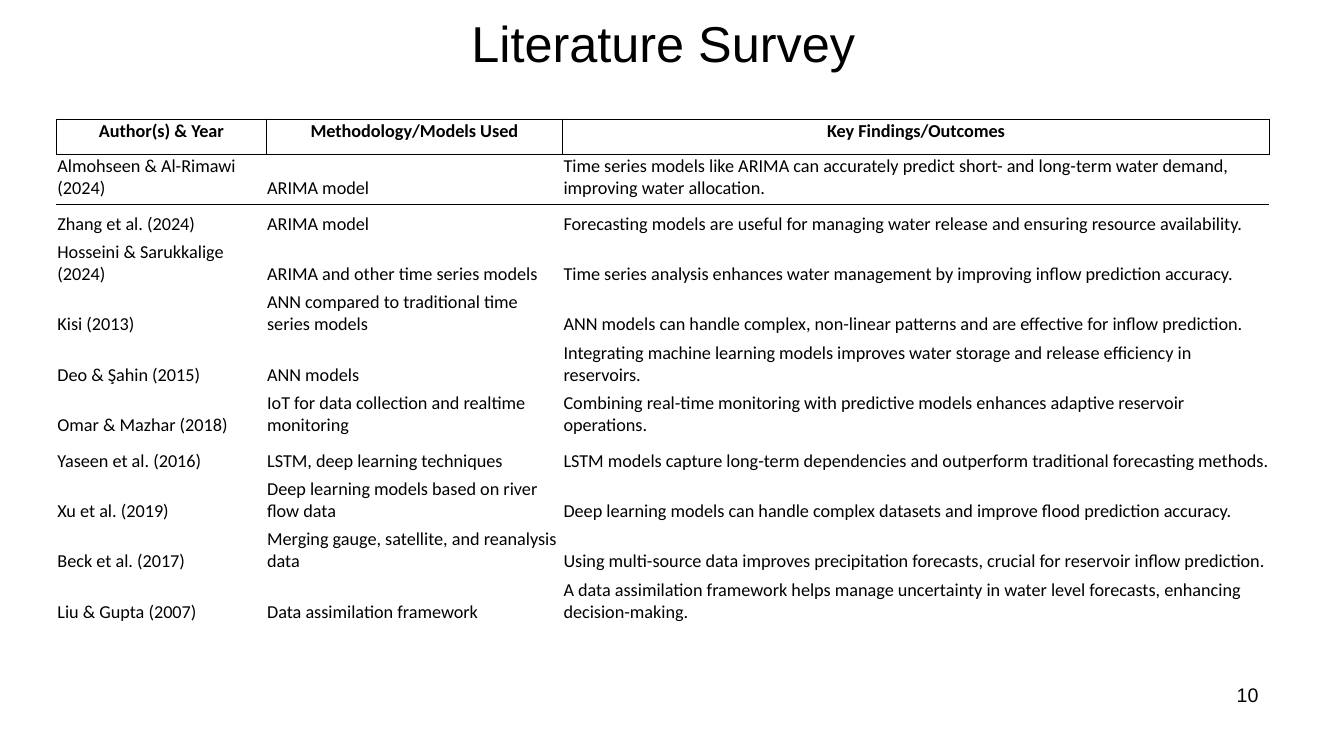
from lxml import etree
from pptx import Presentation
from pptx.dml.color import RGBColor
from pptx.enum.text import MSO_ANCHOR, PP_ALIGN
from pptx.oxml.ns import qn
from pptx.util import Inches, Pt

LEFT, MID, RIGHT = PP_ALIGN.LEFT, PP_ALIGN.CENTER, PP_ALIGN.RIGHT
TOP, CENTER, BOTTOM = MSO_ANCHOR.TOP, MSO_ANCHOR.MIDDLE, MSO_ANCHOR.BOTTOM
WIDE, HIGH = 13.33, 7.5
BLACK = "000000"
NO_STYLE = "{2D5ABB26-0587-4C30-8999-92F81FD0307C}"
COLS = (2.08, 2.94, 7.01)
ROW = 0.35

HEAD = ("Author(s) & Year", "Methodology/Models Used", "Key Findings/Outcomes")
PAPERS = [
    ("Almohseen & Al-Rimawi (2024)", "ARIMA model",
     "Time series models like ARIMA can accurately predict short- and "
     "long-term water demand, improving water allocation."),
    ("Zhang et al. (2024)", "ARIMA model",
     "Forecasting models are useful for managing water release and "
     "ensuring resource availability."),
    ("Hosseini & Sarukkalige (2024)", "ARIMA and other time series models",
     "Time series analysis enhances water management by improving "
     "inflow prediction accuracy."),
    ("Kisi (2013)", "ANN compared to traditional time series models",
     "ANN models can handle complex, non-linear patterns and are "
     "effective for inflow prediction."),
    ("Deo & Şahin (2015)", "ANN models",
     "Integrating machine learning models improves water storage and "
     "release efficiency in reservoirs."),
    ("Omar & Mazhar (2018)", "IoT for data collection and realtime monitoring",
     "Combining real-time monitoring with predictive models enhances "
     "adaptive reservoir operations."),
    ("Yaseen et al. (2016)", "LSTM, deep learning techniques",
     "LSTM models capture long-term dependencies and outperform "
     "traditional forecasting methods."),
    ("Xu et al. (2019)", "Deep learning models based on river flow data",
     "Deep learning models can handle complex datasets and improve "
     "flood prediction accuracy."),
    ("Beck et al. (2017)", "Merging gauge, satellite, and reanalysis data",
     "Using multi-source data improves precipitation forecasts, "
     "crucial for reservoir inflow prediction."),
    ("Liu & Gupta (2007)", "Data assimilation framework",
     "A data assimilation framework helps manage uncertainty in water "
     "level forecasts, enhancing decision-making."),
]


def color(code):
    return RGBColor.from_string(code)


def write(frame, text, size=13, face="Calibri", bold=False, align=LEFT):
    par = frame.paragraphs[0]
    par.alignment = align
    run = par.add_run()
    run.text = text
    font = run.font
    font.size, font.name, font.bold = Pt(size), face, bold
    font.color.rgb = color(BLACK)


def border(cell, sides):
    """Draw thin lines on the given sides, ahead of the cell's fill."""
    props = cell._tc.get_or_add_tcPr()
    for spot, side in enumerate(sides):
        line = etree.Element(qn(f"a:ln{side}"), w=str(Pt(0.5)))
        fill = etree.SubElement(line, qn("a:solidFill"))
        etree.SubElement(fill, qn("a:srgbClr"), val=BLACK)
        props.insert(spot, line)


def fill_cell(cell, text, head):
    cell.margin_left = cell.margin_right = cell.margin_top = Inches(0.01)
    cell.margin_bottom = Inches(0.05)
    cell.vertical_anchor = TOP if head else BOTTOM
    cell.fill.background()
    write(cell.text_frame, text, bold=head, align=MID if head else LEFT)


def add_title(slide, text):
    title = slide.shapes.title
    title.left, title.top = Inches(0.58), Inches(0.1)
    title.width, title.height = Inches(12), Inches(0.64)
    title.text_frame.vertical_anchor = CENTER
    write(title.text_frame, text, size=36, face="Arial", align=MID)


def add_grid(slide, rows):
    frame = slide.shapes.add_table(
        len(rows), len(COLS), Inches(0.56), Inches(1.18),
        Inches(sum(COLS)), Inches(ROW * len(rows)))
    table = frame.table
    table.horz_banding = False
    table._tbl.tblPr.find(qn("a:tableStyleId")).text = NO_STYLE
    for col, width in zip(table.columns, COLS):
        col.width = Inches(width)
    for r, texts in enumerate(rows):
        table.rows[r].height = Inches(ROW)
        for c, text in enumerate(texts):
            cell = table.cell(r, c)
            fill_cell(cell, text, head=r == 0)
            # Only the header is boxed; the next row shares its lower edge
            border(cell, {0: "LRTB", 1: "T"}.get(r, ""))


def add_number(slide, text):
    box = slide.shapes.add_textbox(
        Inches(9.47), Inches(6.73), Inches(3.11), Inches(0.52))
    box.text_frame.word_wrap = True
    write(box.text_frame, text, size=14, face="Arial", align=RIGHT)


def main():
    deck = Presentation()
    deck.slide_width, deck.slide_height = Inches(WIDE), Inches(HIGH)
    slide = deck.slides.add_slide(deck.slide_layouts[5])
    add_title(slide, "Literature Survey")
    add_grid(slide, [HEAD] + PAPERS)
    add_number(slide, "10")
    deck.save("out.pptx")


if __name__ == "__main__":
    main()
